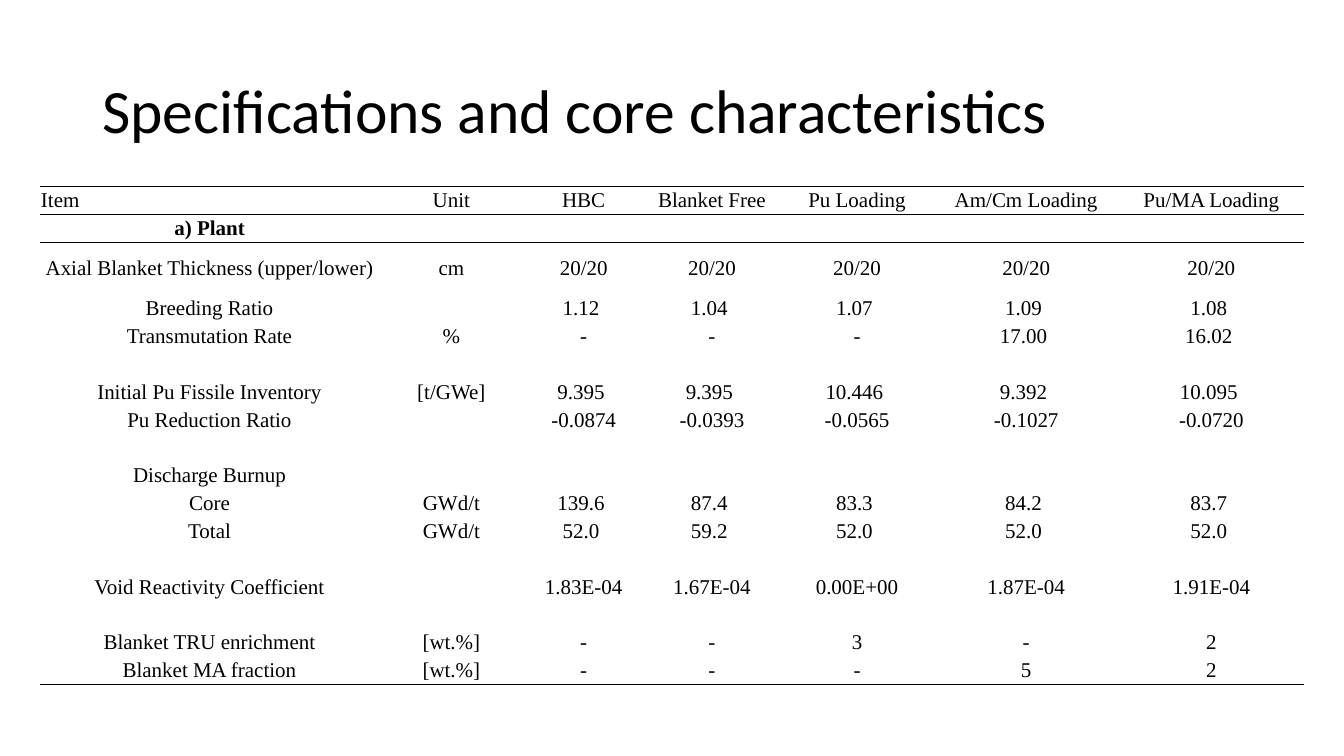
from lxml.etree import SubElement
from pptx import Presentation
from pptx.dml.color import RGBColor
from pptx.enum.text import MSO_ANCHOR as Anchor, PP_ALIGN as Align
from pptx.oxml.ns import qn
from pptx.util import Pt

BLACK, WHITE = "000000", "FFFFFF"
TABLE_FONT, TABLE_SIZE = "Times New Roman", 15
PLAIN_TABLE = "{2D5ABB26-0587-4C30-8999-92F81FD0307C}"
COLUMN_WIDTHS = (242, 103.5, 85.5, 97.8, 109.4, 132.3, 132.3)
ROW_HEIGHT, TALL_ROW_HEIGHT, TALL_ROW = 19.9, 37.3, 2
BLANK_ROW = ("",) * len(COLUMN_WIDTHS)
ROWS = (
    ("Item", "Unit", "HBC", "Blanket Free", "Pu Loading", "Am/Cm Loading", "Pu/MA Loading"),
    ("a) Plant",) + BLANK_ROW[1:],
    ("Axial Blanket Thickness (upper/lower)", "cm") + ("20/20",) * 5,
    ("Breeding Ratio", "", "1.12 ", "1.04 ", "1.07 ", "1.09 ", "1.08 "),
    ("Transmutation Rate", "%", "-", "-", "-", "17.00 ", "16.02 "),
    BLANK_ROW,
    ("Initial Pu Fissile Inventory", "[t/GWe]", "9.395 ", "9.395 ", "10.446 ", "9.392 ", "10.095 "),
    ("Pu Reduction Ratio", "", "-0.0874", "-0.0393", "-0.0565", "-0.1027", "-0.0720"),
    BLANK_ROW,
    ("Discharge Burnup",) + BLANK_ROW[1:],
    ("Core", "GWd/t", "139.6 ", "87.4 ", "83.3 ", "84.2 ", "83.7 "),
    ("Total", "GWd/t", "52.0 ", "59.2 ", "52.0 ", "52.0 ", "52.0 "),
    BLANK_ROW,
    ("Void Reactivity Coefficient", "", "1.83E-04", "1.67E-04", "0.00E+00", "1.87E-04", "1.91E-04"),
    BLANK_ROW,
    ("Blanket TRU enrichment", "[wt.%]", "-", "-", "3", "-", "2"),
    ("Blanket MA fraction", "[wt.%]", "-", "-", "-", "5", "2"),
)
BORDERS = {0: ("a:lnT", "a:lnB"), 1: ("a:lnT",), len(ROWS) - 1: ("a:lnB",)}


def color(code):
    """Turn a hex string into a colour."""
    return RGBColor.from_string(code)


def add_span(para, text, font, size, bold=False):
    """Add one black run to a paragraph."""
    span = para.add_run()
    span.text = text
    span.font.name = font
    span.font.size = Pt(size)
    span.font.bold = bold
    span.font.color.rgb = color(BLACK)


def add_title(page, text):
    """Add the slide title, centred vertically in its box."""
    box = page.shapes.add_textbox(Pt(66), Pt(28.75), Pt(828), Pt(104.4))
    frame = box.text_frame
    frame.word_wrap = True
    frame.vertical_anchor = Anchor.MIDDLE
    para = frame.paragraphs[0]
    para.line_spacing = 0.9
    add_span(para, text, "Calibri", 44)


def add_border(cell, side):
    """Draw a thin black rule on one side of a cell."""
    line = SubElement(cell._tc.get_or_add_tcPr(), qn(side), w=str(Pt(0.5)))
    SubElement(SubElement(line, qn("a:solidFill")), qn("a:srgbClr"), val=BLACK)


def fill_cell(cell, text, align, bold, sides):
    """Set the text, margins, rules and fill of a cell."""
    cell.margin_left = cell.margin_right = cell.margin_top = Pt(0.6)
    cell.margin_bottom = Pt(0)
    cell.vertical_anchor = Anchor.MIDDLE
    para = cell.text_frame.paragraphs[0]
    para.alignment = align
    if text:
        add_span(para, text, TABLE_FONT, TABLE_SIZE, bold)
    else:
        SubElement(para._p, qn("a:endParaRPr"), sz=str(TABLE_SIZE * 100))
    for side in sides:
        add_border(cell, side)
    cell.fill.solid()
    cell.fill.fore_color.rgb = color(WHITE)


def add_core_table(page):
    """Add the table of core characteristics."""
    heights = [TALL_ROW_HEIGHT if i == TALL_ROW else ROW_HEIGHT for i in range(len(ROWS))]
    table = page.shapes.add_table(
        len(ROWS), len(COLUMN_WIDTHS), Pt(28.7), Pt(133.1), Pt(sum(COLUMN_WIDTHS)), Pt(sum(heights))
    ).table
    table.first_row = table.horz_banding = False
    table._tbl.tblPr.find(qn("a:tableStyleId")).text = PLAIN_TABLE
    for column, width in zip(table.columns, COLUMN_WIDTHS):
        column.width = Pt(width)
    for r, (texts, height) in enumerate(zip(ROWS, heights)):
        table.rows[r].height = Pt(height)
        for c, text in enumerate(texts):
            align = Align.LEFT if r == c == 0 else Align.CENTER
            fill_cell(table.cell(r, c), text, align, r == 1, BORDERS.get(r, ()))


def main():
    """Build the slide and save the deck."""
    deck = Presentation()
    deck.slide_width, deck.slide_height = Pt(960), Pt(540)
    page = deck.slides.add_slide(deck.slide_layouts[6])
    add_title(page, "Specifications and core characteristics")
    add_core_table(page)
    deck.save("out.pptx")


if __name__ == "__main__":
    main()
